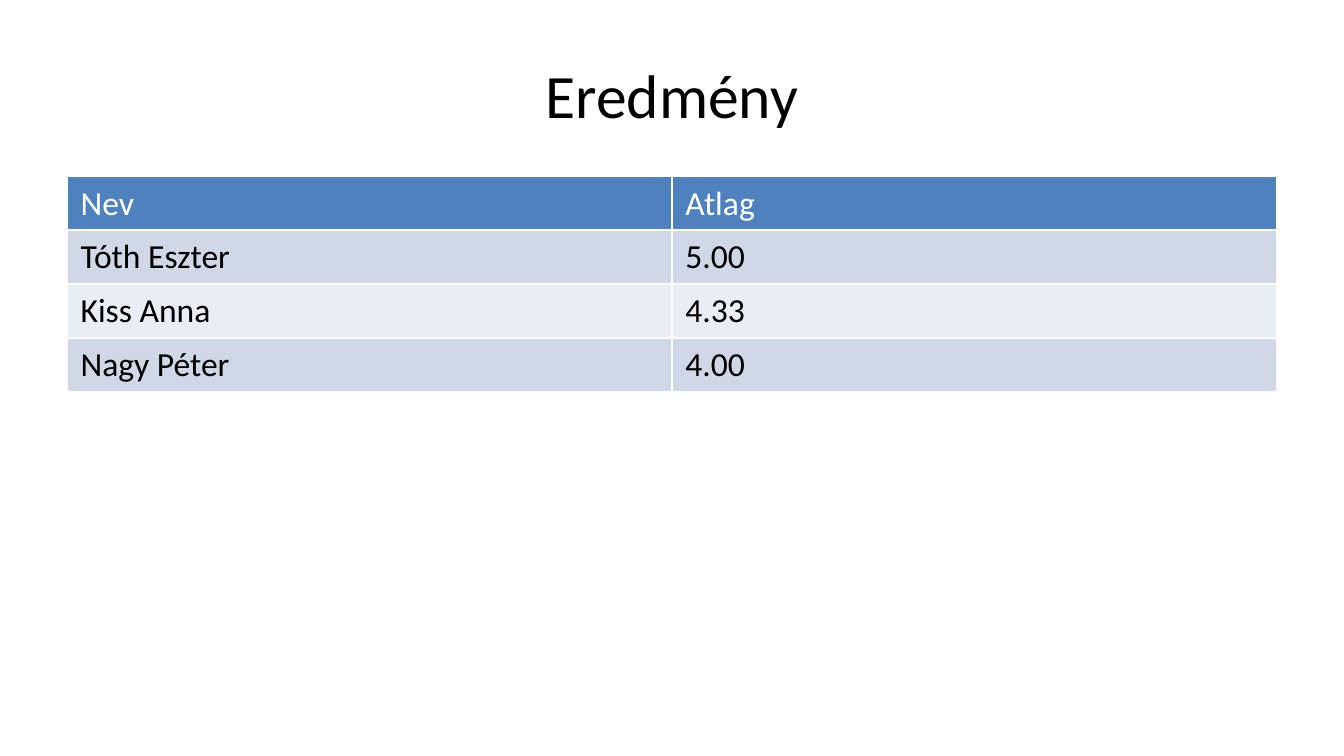
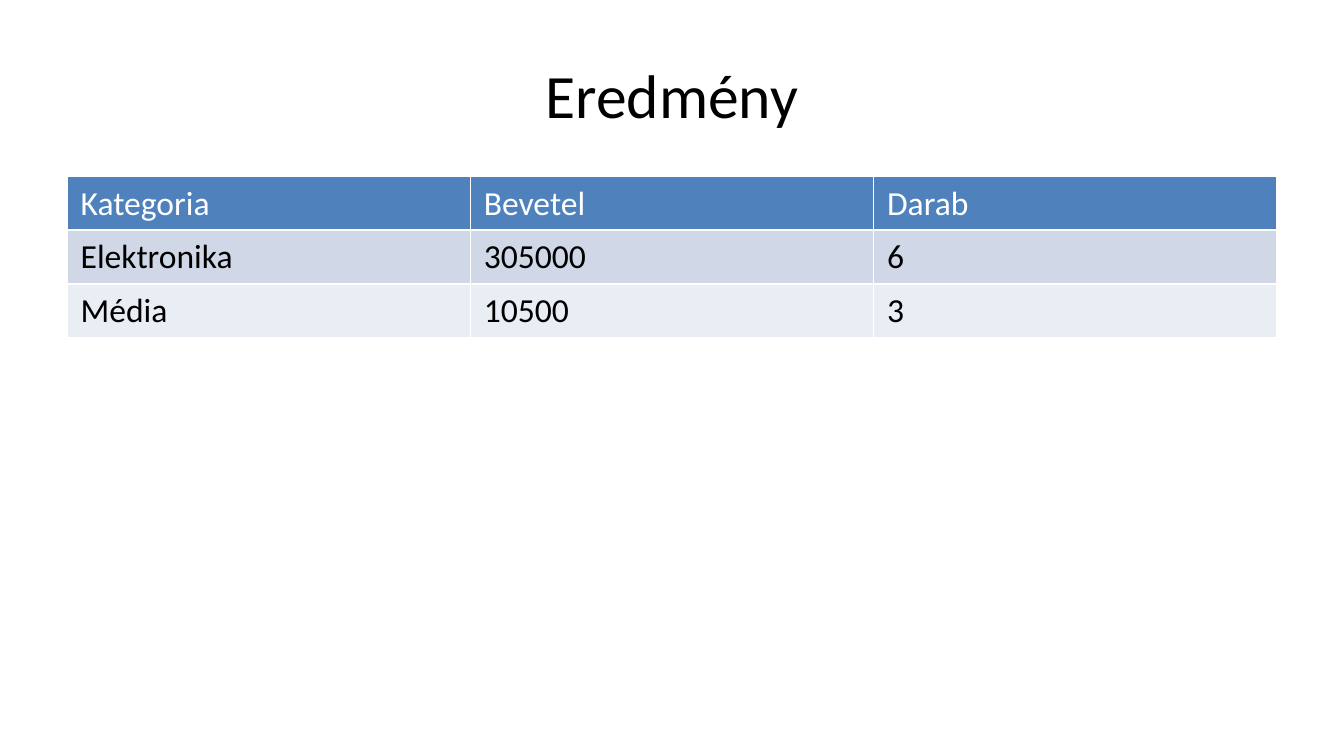
from dataclasses import dataclass

from pptx import Presentation
from pptx.dml.color import RGBColor
from pptx.enum.text import MSO_ANCHOR, PP_ALIGN
from pptx.slide import Slide
from pptx.text.text import TextFrame
from pptx.util import Emu, Pt

EMU_PER_PX = 9525
FONT = "Calibri"
BLACK, WHITE = "000000", "FFFFFF"
HEADER_FILL = "4F81BD"
BAND_FILLS = ("D0D8E8", "E9EDF4")
SLIDE_WIDTH, SLIDE_HEIGHT = 960, 540
MARGIN = 48
CONTENT_WIDTH = SLIDE_WIDTH - 2 * MARGIN
TITLE_TOP, TITLE_HEIGHT = 22, 90
RESULTS_TOP, RESULTS_HEIGHT = 126, 356


@dataclass(frozen=True)
class ResultSlide:
    title: str
    header: tuple[str, ...]
    records: tuple[tuple[str, ...], ...]


RESULT_SLIDES = (
    ResultSlide(
        "Eredmény",
        ("Nev", "Atlag"),
        (("Tóth Eszter", "5.00"), ("Kiss Anna", "4.33"), ("Nagy Péter", "4.00")),
    ),
    ResultSlide(
        "Eredmény",
        ("Kategoria", "Bevetel", "Darab"),
        (("Elektronika", "305000", "6"), ("Média", "10500", "3")),
    ),
)


def px(length: int) -> Emu:
    return Emu(length * EMU_PER_PX)


def color(value: str) -> RGBColor:
    return RGBColor.from_string(value)


def write(frame: TextFrame, text: str, *, size: int = 18, ink: str = BLACK,
          align: PP_ALIGN = PP_ALIGN.LEFT) -> None:
    paragraph = frame.paragraphs[0]
    paragraph.alignment = align
    run = paragraph.add_run()
    run.text = text
    run.font.name = FONT
    run.font.size = Pt(size)
    run.font.bold = False
    run.font.color.rgb = color(ink)


def add_title(slide: Slide, text: str) -> None:
    title = slide.shapes.add_textbox(
        px(MARGIN), px(TITLE_TOP), px(CONTENT_WIDTH), px(TITLE_HEIGHT))
    title.text_frame.word_wrap = True
    title.text_frame.vertical_anchor = MSO_ANCHOR.MIDDLE
    write(title.text_frame, text, size=33, align=PP_ALIGN.CENTER)


def add_results(slide: Slide, content: ResultSlide) -> None:
    lines = (content.header, *content.records)
    frame = slide.shapes.add_table(
        len(lines), len(content.header),
        px(MARGIN), px(RESULTS_TOP), px(CONTENT_WIDTH), px(RESULTS_HEIGHT))
    results = frame.table
    for row in results.rows:
        row.height = px(0)
    frame.height = px(RESULTS_HEIGHT)
    for line_index, line in enumerate(lines):
        is_header = line_index == 0
        fill = HEADER_FILL if is_header else BAND_FILLS[(line_index - 1) % 2]
        for column_index, text in enumerate(line):
            cell = results.cell(line_index, column_index)
            cell.fill.solid()
            cell.fill.fore_color.rgb = color(fill)
            write(cell.text_frame, text, ink=WHITE if is_header else BLACK)


def main() -> None:
    deck = Presentation()
    deck.slide_width, deck.slide_height = px(SLIDE_WIDTH), px(SLIDE_HEIGHT)
    for content in RESULT_SLIDES:
        slide = deck.slides.add_slide(deck.slide_layouts[6])
        add_title(slide, content.title)
        add_results(slide, content)
    deck.save("out.pptx")


if __name__ == "__main__":
    main()
